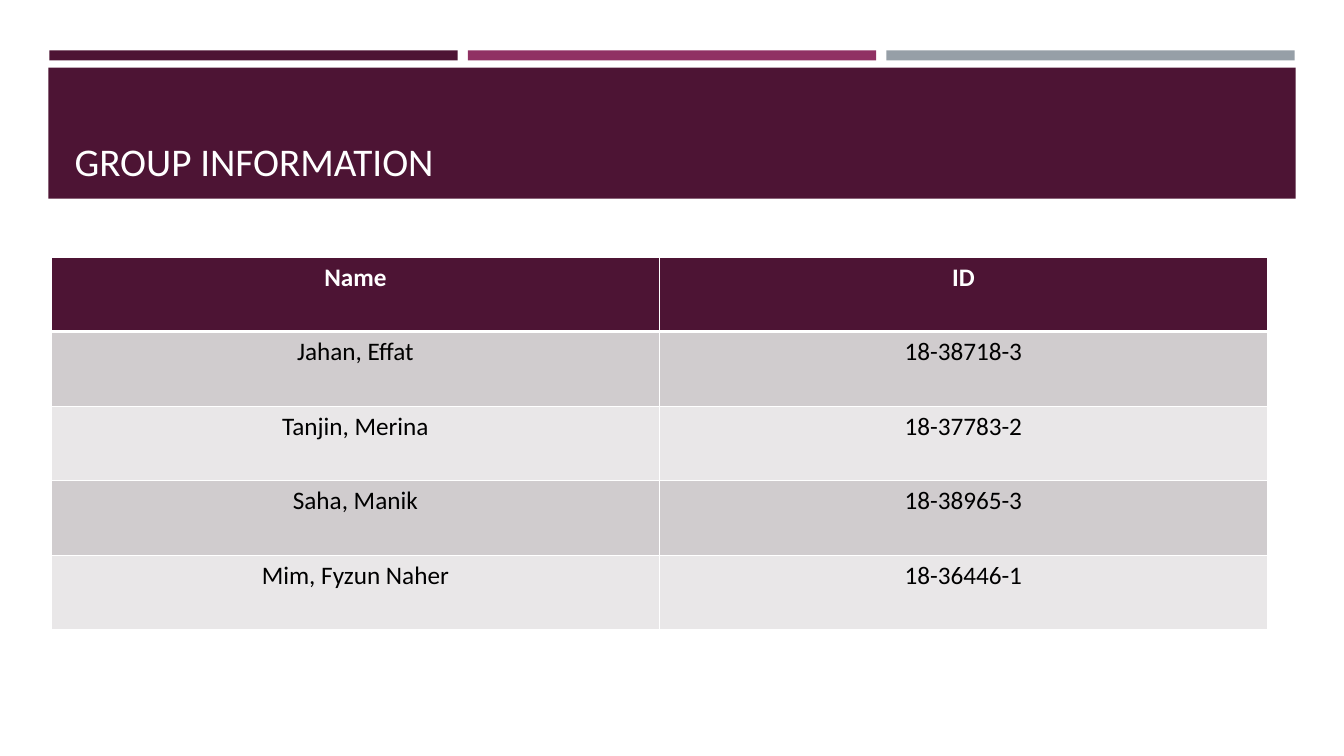
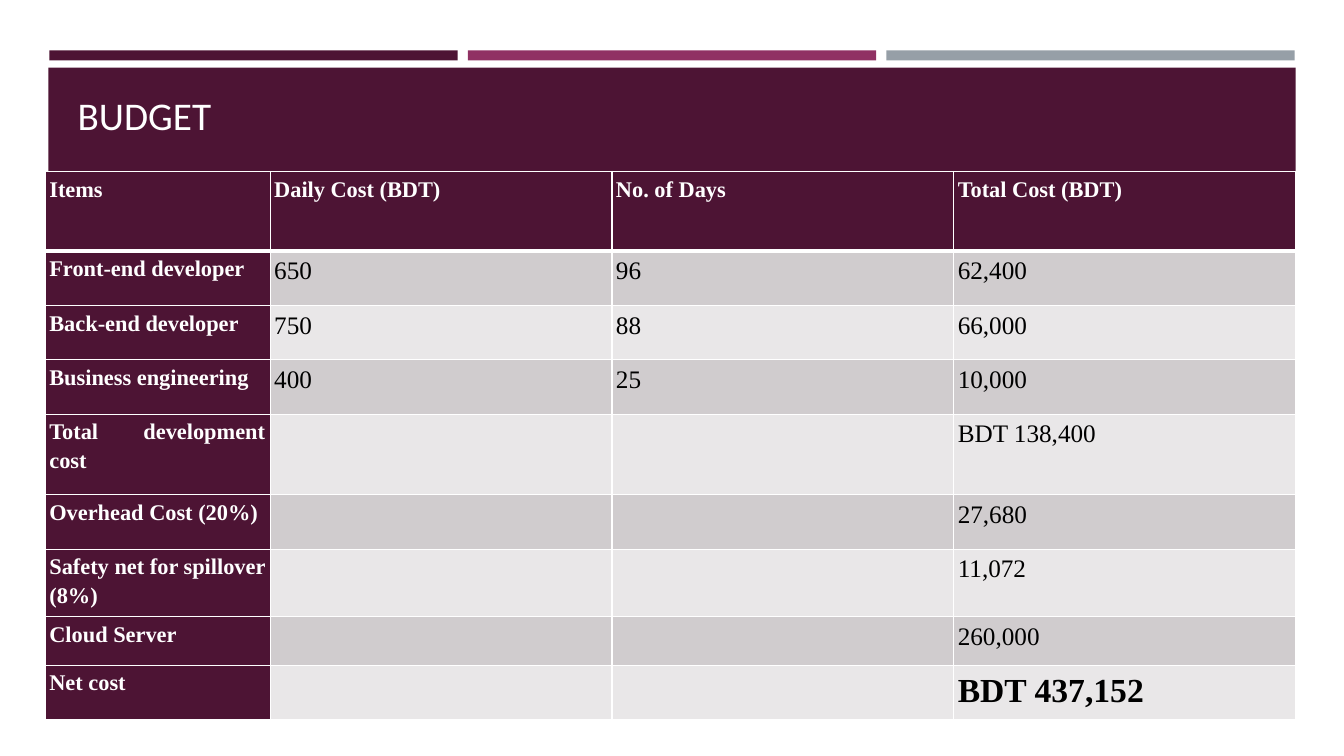
import pptx
import pptx.util
import pptx.dml.color
import pptx.enum.shapes
import pptx.enum.text
import pptx.oxml
import pptx.oxml.ns

Inches = pptx.util.Inches
Pt = pptx.util.Pt
PP_ALIGN = pptx.enum.text.PP_ALIGN

COLORS = {
    "plum": "4D1434",
    "magenta": "903163",
    "slate": "969FA7",
    "band_dark": "D0CCCE",
    "band_light": "E9E7E8",
    "white": "FFFFFF",
    "black": "000000",
}
TITLE_FONT = "Calibri"
BUDGET_FONT = "Times New Roman"
TITLE_ONLY = 5

MEMBERS = [
    ["Name", "ID"],
    ["Jahan, Effat", "18-38718-3"],
    ["Tanjin, Merina", "18-37783-2"],
    ["Saha, Manik", "18-38965-3"],
    ["Mim, Fyzun Naher", "18-36446-1"],
]
BUDGET = [
    ["Items", "Daily Cost (BDT)", "No. of Days", "Total Cost (BDT)"],
    ["Front-end developer", "650", "96", "62,400"],
    ["Back-end developer", "750", "88", "66,000"],
    ["Business engineering", "400", "25", "10,000"],
    ["Total development cost", "", "", "BDT 138,400"],
    ["Overhead Cost (20%)", "", "", "27,680"],
    ["Safety net for spillover (8%)", "", "", "11,072"],
    ["Cloud Server", "", "", "260,000"],
    ["Net cost", "", "", "BDT 437,152"],
]


def rgb(name):
    """Return the named palette colour."""
    return pptx.dml.color.RGBColor.from_string(COLORS[name])


def style_runs(paragraph, font, size, color, bold=False):
    """Format every run of a paragraph."""
    for run in paragraph.runs:
        run.font.name = font
        run.font.size = Pt(size)
        run.font.bold = bold
        run.font.color.rgb = rgb(color)


def add_layout_bar(layout, slide, color, left, top, width, height):
    """Draw a plain bar and move it behind everything on the layout."""
    bar = slide.shapes.add_shape(
        pptx.enum.shapes.MSO_SHAPE.RECTANGLE,
        Inches(left), Inches(top), Inches(width), Inches(height))
    bar.shadow.inherit = False
    bar.fill.solid()
    bar.fill.fore_color.rgb = rgb(color)
    bar.line.fill.background()
    layout.shapes._spTree.insert(2, bar._element)


def decorate_layout(layout, slide):
    """Give the layout its three accent strips and title band."""
    for index, color in enumerate(["plum", "magenta", "slate"]):
        add_layout_bar(layout, slide, color, 0.49 + index * 4.15, 0.5, 4.05, 0.1)
    add_layout_bar(layout, slide, "plum", 0.48, 0.67, 12.37, 1.3)


def set_title(slide, text, left, top, width, height):
    """Place and format the slide title."""
    title = slide.shapes.title
    title.left, title.top = Inches(left), Inches(top)
    title.width, title.height = Inches(width), Inches(height)
    frame = title.text_frame
    frame.text = text
    frame.word_wrap = True
    frame.vertical_anchor = pptx.enum.text.MSO_ANCHOR.BOTTOM
    frame.paragraphs[0].alignment = PP_ALIGN.LEFT
    style_runs(frame.paragraphs[0], TITLE_FONT, 28, "white")


def set_borders(cell, row):
    """Rule a cell in white, with a heavy line under the header row."""
    properties = cell._tc.get_or_add_tcPr()
    widths = {"L": 1, "R": 1, "T": 3 if row == 1 else 1, "B": 3 if row == 0 else 1}
    for side, points in widths.items():
        properties.append(pptx.oxml.parse_xml(
            f'<a:ln{side} {pptx.oxml.ns.nsdecls("a")} w="{Pt(points)}">'
            f'<a:solidFill><a:srgbClr val="{COLORS["white"]}"/></a:solidFill>'
            f'</a:ln{side}>'))


def add_banded_table(slide, rows, left, top, widths, heights, first_col=False):
    """Add a ruled table with plum headings and banded body cells."""
    table = slide.shapes.add_table(
        len(rows), len(widths), Inches(left), Inches(top),
        Inches(sum(widths)), Inches(sum(heights))).table
    table.horz_banding = False
    table.first_col = first_col
    for column, width in zip(table.columns, widths):
        column.width = Inches(width)
    for r, (values, height) in enumerate(zip(rows, heights)):
        table.rows[r].height = Inches(height)
        for c, value in enumerate(values):
            cell = table.cell(r, c)
            cell.text_frame.text = value
            set_borders(cell, r)
            band = "band_dark" if r % 2 else "band_light"
            heading = r == 0 or (first_col and c == 0)
            cell.fill.solid()
            cell.fill.fore_color.rgb = rgb("plum" if heading else band)
    return table


def format_members(table):
    """Centre the member table and emphasise its header."""
    for r, row in enumerate(table.rows):
        for cell in row.cells:
            paragraph = cell.text_frame.paragraphs[0]
            paragraph.alignment = PP_ALIGN.CENTER
            style_runs(paragraph, TITLE_FONT, 18, "black" if r else "white", r == 0)


def format_budget(table):
    """Justify the budget table and enlarge its net cost."""
    last = len(table.rows) - 1
    for r, row in enumerate(table.rows):
        for c, cell in enumerate(row.cells):
            cell.margin_left, cell.margin_top = Inches(0.04), Inches(0.02)
            cell.margin_right, cell.margin_bottom = Inches(0.05), Inches(0.04)
            paragraph = cell.text_frame.paragraphs[0]
            paragraph.alignment = PP_ALIGN.JUSTIFY
            paragraph.line_spacing = 1.15
            if r == 0 or c == 0:
                style_runs(paragraph, BUDGET_FONT, 16, "white", True)
            else:
                style_runs(paragraph, BUDGET_FONT, 24 if r == last else 18,
                           "black", r == last)


def main():
    """Build and save the presentation."""
    deck = pptx.Presentation()
    deck.slide_width, deck.slide_height = Inches(13.33), Inches(7.5)
    layout = deck.slide_layouts[TITLE_ONLY]

    group = deck.slides.add_slide(layout)
    decorate_layout(layout, group)
    set_title(group, "GROUP INFORMATION", 0.64, 0.77, 12.06, 1.11)
    format_members(add_banded_table(
        group, MEMBERS, 0.51, 2.55, [6.03] * 2, [0.74] * len(MEMBERS)))

    budget = deck.slides.add_slide(layout)
    set_title(budget, "BUDGET", 0.67, 0.77, 8.21, 0.65)
    format_budget(add_banded_table(
        budget, BUDGET, 0.45, 1.7, [2.23] + [3.39] * 3,
        [0.79] + [0.54] * 3 + [0.8, 0.54, 0.67, 0.48, 0.54], first_col=True))

    deck.save("out.pptx")


if __name__ == "__main__":
    main()
